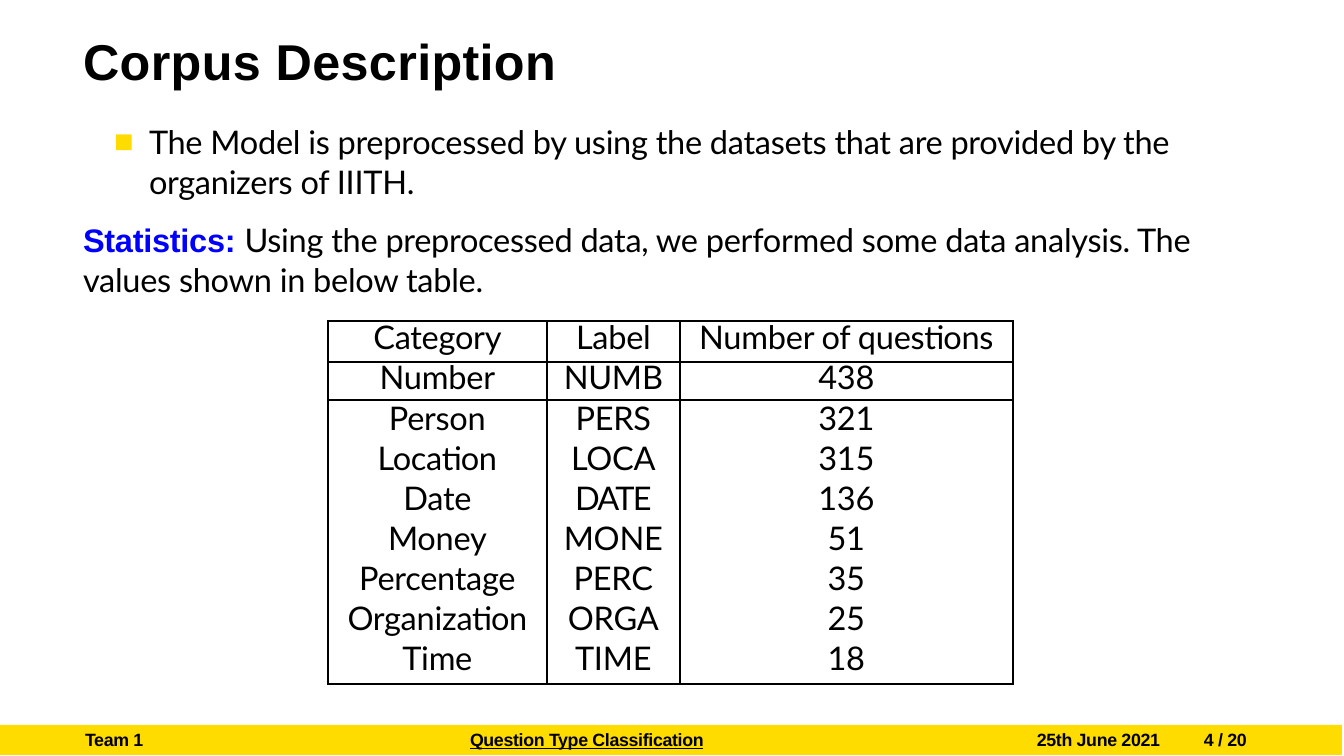
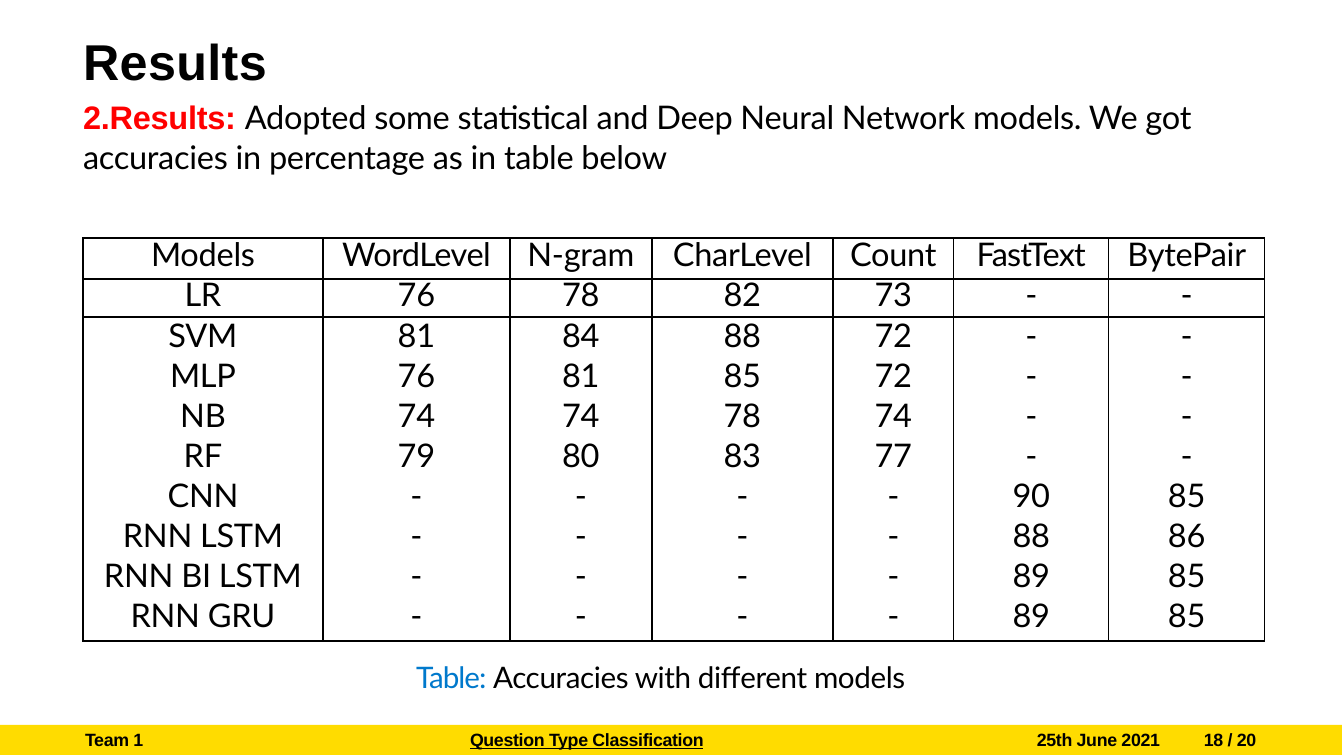
from lxml.etree import SubElement
from pptx import Presentation
from pptx.dml.color import RGBColor
from pptx.enum.shapes import MSO_SHAPE
from pptx.enum.text import MSO_ANCHOR, MSO_AUTO_SIZE, PP_ALIGN
from pptx.oxml.ns import qn
from pptx.util import Emu, Pt

EMU_PER_PX = 4293
SLIDE_SIZE = (1344, 756)
BLACK, YELLOW, BLUE, RED, CAPTION_BLUE = "000000", "FFDC00", "0000FF", "FF0000", "0079CC"

TITLE = {"name": "Arial", "size": Pt(17), "bold": True}
BODY = {"name": "Lato", "size": Pt(11), "bold": False}
LEAD = {"name": "Arial", "size": Pt(11), "bold": True}
CAPTION = {"name": "Lato", "size": Pt(10)}
FOOTER = {"name": "Arial", "size": Pt(6), "bold": True}

# Letter spacing in hundredths of a point
TIGHT = -10
CELL_SPACING = {"DATE": -60, "WordLevel": -20, "FastText": -30, "-": 0}

CORPUS_ROWS = [
    ("Category", "Label", "Number of questions"),
    ("Number", "NUMB", "438"),
    ("Person", "PERS", "321"),
    ("Location", "LOCA", "315"),
    ("Date", "DATE", "136"),
    ("Money", "MONE", "51"),
    ("Percentage", "PERC", "35"),
    ("Organization", "ORGA", "25"),
    ("Time", "TIME", "18"),
]
RESULT_ROWS = [
    ("Models", "WordLevel", "N-gram", "CharLevel", "Count", "FastText", "BytePair"),
    ("LR", "76", "78", "82", "73", "-", "-"),
    ("SVM", "81", "84", "88", "72", "-", "-"),
    ("MLP", "76", "81", "85", "72", "-", "-"),
    ("NB", "74", "74", "78", "74", "-", "-"),
    ("RF", "79", "80", "83", "77", "-", "-"),
    ("CNN", "-", "-", "-", "-", "90", "85"),
    ("RNN LSTM", "-", "-", "-", "-", "88", "86"),
    ("RNN BI LSTM", "-", "-", "-", "-", "89", "85"),
    ("RNN GRU", "-", "-", "-", "-", "89", "85"),
]


def px(length):
    return Emu(length * EMU_PER_PX)


def color(value):
    return RGBColor.from_string(value)


def apply(target, values):
    for name, value in values.items():
        setattr(target, name, value)


def add_run(paragraph, text, font, text_color=BLACK, spacing=TIGHT):
    run = paragraph.add_run()
    run.text = text
    apply(run.font, font)
    run.font.color.rgb = color(text_color)
    run._r.get_or_add_rPr().set("spc", str(spacing))


def set_bullet(paragraph, margin=2, indent=0, symbol=None):
    """Give the paragraph its indents and a yellow bullet, or none."""
    properties = paragraph._p.get_or_add_pPr()
    properties.set("marL", str(px(margin)))
    properties.set("indent", str(px(indent)))
    if symbol is None:
        SubElement(properties, qn("a:buNone"))
        return
    bullet_color = SubElement(properties, qn("a:buClr"))
    SubElement(bullet_color, qn("a:srgbClr"), val=YELLOW)
    SubElement(properties, qn("a:buFont"), typeface="Arial")
    SubElement(properties, qn("a:buChar"), char=symbol)


def format_frame(shape, box, wrap=True):
    """Place a text shape and clear its insets."""
    apply(shape, dict(zip(("left", "top", "width", "height"), map(px, box))))
    apply(shape.text_frame, {
        "margin_left": 0, "margin_top": 0, "margin_right": 0, "margin_bottom": 0,
        "word_wrap": wrap, "auto_size": MSO_AUTO_SIZE.NONE,
        "vertical_anchor": MSO_ANCHOR.TOP,
    })
    return shape.text_frame


def add_label(slide, box, runs):
    """Add a one-line text box from (text, font, colour, spacing) runs."""
    frame = format_frame(slide.shapes.add_textbox(0, 0, 0, 0), box, wrap=False)
    for run in runs:
        add_run(frame.paragraphs[0], *run)


def add_footer(slide, page):
    band = slide.shapes.add_shape(MSO_SHAPE.RECTANGLE, 0, px(725), px(1342), px(30))
    band.shadow.inherit = False
    band.fill.solid()
    band.fill.fore_color.rgb = color(YELLOW)
    band.line.fill.background()
    underlined = {**FOOTER, "underline": True}
    for left, width, text, font in (
        (85, 66, "Team 1", FOOTER),
        (470, 247, "Question Type Classification", underlined),
        (1037, 132, "25th June 2021", FOOTER),
        (1204, 75, f"{page} / 20", FOOTER),
    ):
        add_label(slide, (left, 729, width, 26), [(text, font)])


def add_slide(presentation, title, body_box, page):
    """Add a titled slide with its footer; return it and its body frame."""
    slide = presentation.slides.add_slide(presentation.slide_layouts[1])
    paragraph = format_frame(slide.shapes.title, (83, 30, 1160, 64)).paragraphs[0]
    paragraph.alignment = PP_ALIGN.LEFT
    add_run(paragraph, title, TITLE, spacing=10)
    body = format_frame(slide.placeholders[1], body_box)
    add_footer(slide, page)
    return slide, body


def format_body_paragraph(paragraph, space_before=0, **bullet):
    apply(paragraph, {"line_spacing": 1.03, "space_before": Pt(space_before)})
    set_bullet(paragraph, **bullet)


def add_statement(paragraph, lead, lead_color, text, space_before=0):
    """Fill a paragraph with a bold coloured lead-in and plain text."""
    format_body_paragraph(paragraph, space_before)
    add_run(paragraph, lead, LEAD, lead_color)
    add_run(paragraph, text, BODY)


def set_borders(cell, sides):
    properties = cell._tc.get_or_add_tcPr()
    for side in "LRTB":
        line = SubElement(properties, qn(f"a:ln{side}"), w=str(Pt(0.5)))
        if side in sides:
            fill = SubElement(line, qn("a:solidFill"))
            SubElement(fill, qn("a:srgbClr"), val=BLACK)
        else:
            SubElement(line, qn("a:noFill"))


def fill_cell(cell, text, line_height, sides):
    apply(cell, {"margin_left": 0, "margin_right": 0,
                 "margin_top": 0, "margin_bottom": 0})
    paragraph = cell.text_frame.paragraphs[0]
    apply(paragraph, {"alignment": PP_ALIGN.CENTER, "line_spacing": Pt(line_height)})
    add_run(paragraph, text, BODY, spacing=CELL_SPACING.get(text, TIGHT))
    set_borders(cell, sides)
    cell.fill.background()


def add_ruled_table(slide, left, top, widths, rows):
    """Add a table ruled around its first two rows and its outline."""
    last = len(rows) - 1
    heights = [41, 38] + [40] * (last - 2) + [44]
    table = slide.shapes.add_table(
        len(rows), len(widths), px(left), px(top), px(sum(widths)), px(sum(heights))
    ).table
    apply(table, {"first_row": False, "horz_banding": False})
    for column, width in zip(table.columns, widths):
        column.width = px(width)
    for index, values in enumerate(rows):
        table.rows[index].height = px(heights[index])
        line_height = {0: 11.9, 1: 11.8}.get(index, 12.6)
        sides = "LR" + ("T" if index <= 2 else "") + ("B" if index in (0, 1, last) else "")
        for cell, text in zip(table.rows[index].cells, values):
            fill_cell(cell, text, line_height, sides)


def add_corpus_slide(presentation):
    slide, body = add_slide(presentation, "Corpus Description", (81, 121, 1161, 181), 4)
    source = body.paragraphs[0]
    format_body_paragraph(source, margin=68, indent=-35, symbol="■")
    add_run(source, "The Model is preprocessed by using the datasets that are "
                    "provided by the organizers of IIITH.", BODY)
    add_statement(body.add_paragraph(), "Statistics: ", BLUE,
                  "Using the preprocessed data, we performed some data analysis. "
                  "The values shown in below table.", 5.8)
    add_ruled_table(slide, 328, 321, (219, 133, 333), CORPUS_ROWS)


def add_results_slide(presentation):
    slide, body = add_slide(presentation, "Results", (81, 96, 1150, 84), 18)
    add_statement(body.paragraphs[0], "2.Results: ", RED,
                  "Adopted some statistical and Deep Neural Network models. "
                  "We got accuracies in percentage as in table below")
    add_ruled_table(slide, 83, 238, (240, 187, 142, 181, 121, 155, 156), RESULT_ROWS)
    add_label(slide, (416, 659, 515, 40), [
        ("Table: ", CAPTION, CAPTION_BLUE, -30),
        ("Accuracies with different models", CAPTION),
    ])


def main():
    presentation = Presentation()
    presentation.slide_width, presentation.slide_height = map(px, SLIDE_SIZE)
    add_corpus_slide(presentation)
    add_results_slide(presentation)
    presentation.save("out.pptx")


if __name__ == "__main__":
    main()
